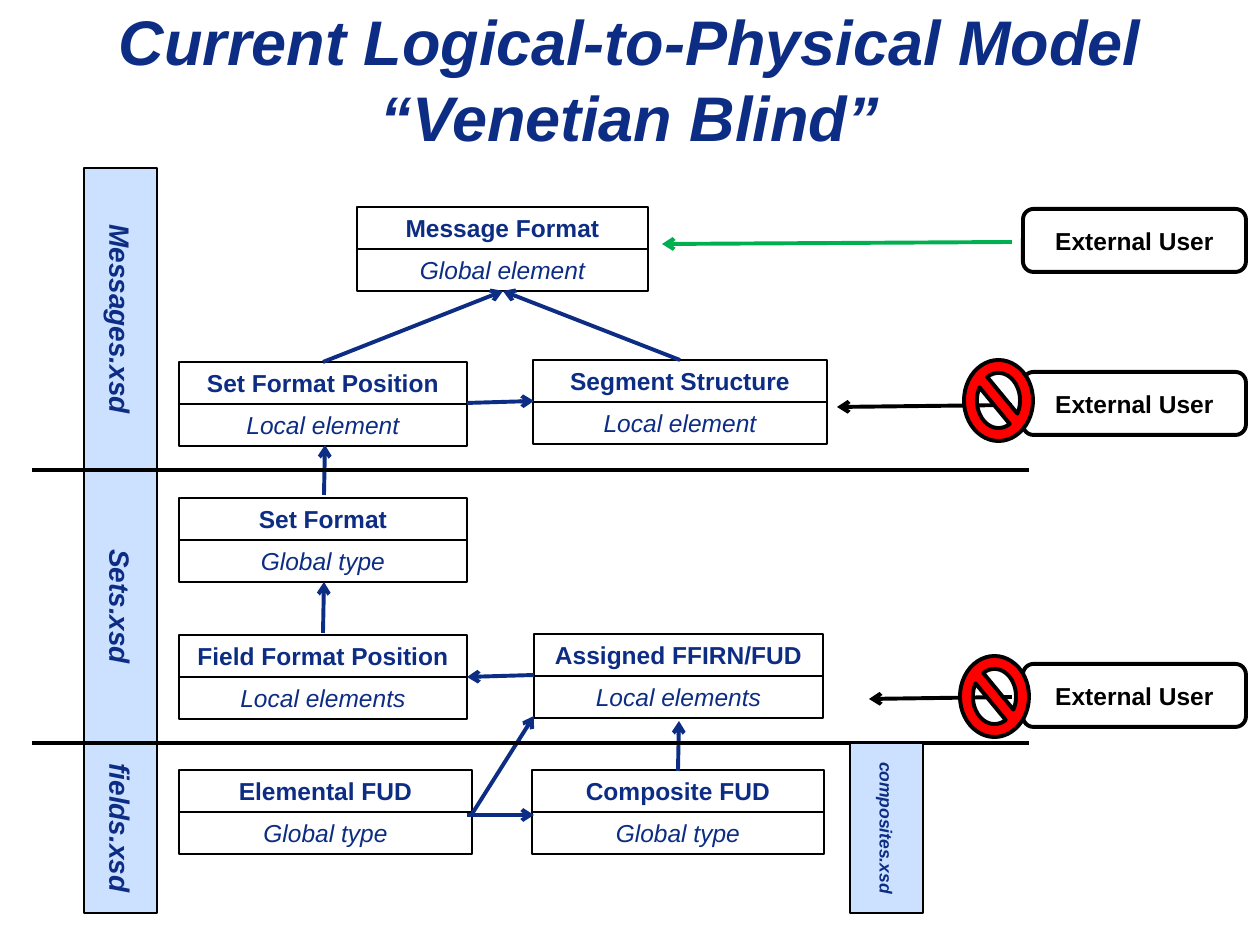
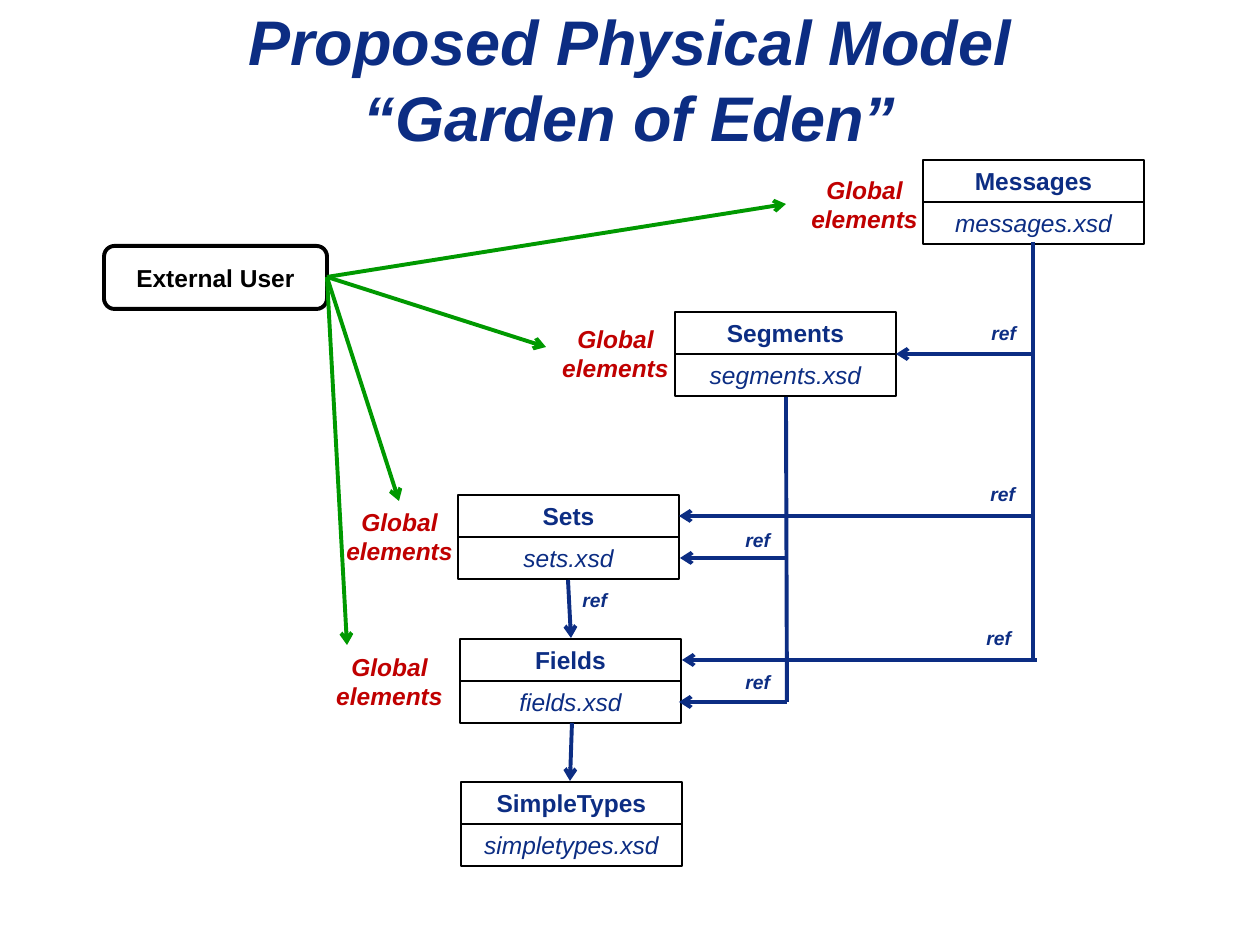
"""Builds two slides that compare a current and a proposed XML schema model."""
from lxml import etree
from pptx import Presentation
from pptx import util as u
from pptx.dml.color import RGBColor
from pptx.enum import shapes, text
from pptx.oxml import ns

SCALE = 914400 / 126
FONT = "Arial"
COLORS = {
    "navy": "0C2D83",
    "band": "CCE0FF",
    "black": "000000",
    "red": "FF0000",
    "dark_red": "C00000",
    "allowed": "00B050",
    "access": "009900",
}
ROW = 42


def px(length):
    return u.Emu(round(length * SCALE))


def rgb(name):
    return RGBColor.from_string(COLORS[name])


class Diagram:
    def __init__(self, deck):
        self.deck = deck
        self.slide = None

    def new_slide(self, title):
        self.slide = self.deck.slides.add_slide(self.deck.slide_layouts[6])
        self.label(63, 9, 1134, 139, title, 36, bold=True, italic=True)

    def set_words(self, shape, words, size, color="navy", bold=False, italic=False,
                  align=text.PP_ALIGN.CENTER):
        frame = shape.text_frame
        frame.word_wrap = True
        frame.vertical_anchor = text.MSO_ANCHOR.MIDDLE
        frame.text = words
        for paragraph in frame.paragraphs:
            paragraph.alignment = align
            font = paragraph.font
            font.name, font.size = FONT, u.Pt(size)
            font.bold, font.italic = bold, italic
            font.color.rgb = rgb(color)

    def label(self, left, top, width, height, words, size, **style):
        area = self.slide.shapes.add_textbox(px(left), px(top), px(width), px(height))
        self.set_words(area, words, size, **style)

    def shape(self, kind, left, top, width, height, fill=None, weight=1):
        shape = self.slide.shapes.add_shape(
            kind, px(left), px(top), px(width), px(height))
        shape.shadow.inherit = False
        if fill:
            shape.fill.solid()
            shape.fill.fore_color.rgb = rgb(fill)
        else:
            shape.fill.background()
        shape.line.color.rgb = rgb("black")
        shape.line.width = u.Pt(weight)
        return shape

    def band(self, left, top, height, words, size=16):
        width = 73
        shift = (height - width) / 2
        strip = self.shape(shapes.MSO_SHAPE.RECTANGLE, left - shift, top + shift,
                           height, width, "band")
        strip.rotation = 90
        self.set_words(strip, words, size, bold=True, italic=True)

    def component(self, left, top, width, name, detail):
        for row, words in enumerate((name, detail)):
            cell = self.shape(shapes.MSO_SHAPE.RECTANGLE, left, top + row * ROW,
                              width, ROW)
            self.set_words(cell, words, 14, bold=row == 0, italic=row == 1)

    def external_user(self, left, top):
        user = self.shape(shapes.MSO_SHAPE.ROUNDED_RECTANGLE, left, top, 223, 63,
                          weight=2.25)
        self.set_words(user, "External User", 14, color="black", bold=True)

    def prohibited(self, left, top):
        self.shape(shapes.MSO_SHAPE.NO_SYMBOL, left, top, 69, 81, "red", 2.25)

    def line(self, x1, y1, x2, y2, color="navy", arrow=True):
        link = self.slide.shapes.add_connector(
            shapes.MSO_CONNECTOR.STRAIGHT, px(x1), px(y1), px(x2), px(y2))
        link.line.color.rgb = rgb(color)
        link.line.width = u.Pt(2.25)
        properties = link.element.spPr
        if arrow:
            outline = properties.find(ns.qn("a:ln"))
            etree.SubElement(outline, ns.qn("a:tailEnd"), type="arrow")
        etree.SubElement(properties, ns.qn("a:effectLst"))

    def global_elements(self, left, top):
        self.label(left, top, 169, 72, "Global\nelements", 14,
                   color="dark_red", bold=True, italic=True)

    def ref(self, left, top):
        self.label(left, top, 54, 36, "ref", 11, bold=True, italic=True,
                   align=text.PP_ALIGN.LEFT)


def current_model(diagram):
    diagram.new_slide("Current Logical-to-Physical Model\v“Venetian Blind”")
    for top, bottom, schema in ((743, 913, "fields.xsd"), (470, 743, "Sets.xsd"),
                                (168, 470, "Messages.xsd")):
        diagram.band(84, top, bottom - top, schema)

    for component in (
        (179, 770, 293, "Elemental FUD", "Global type"),
        (532, 770, 292, "Composite FUD", "Global type"),
        (534, 634, 289, "Assigned FFIRN/FUD", "Local elements"),
        (179, 635, 288, "Field Format Position", "Local elements"),
        (179, 498, 288, "Set Format", "Global type"),
        (533, 360, 294, "Segment Structure", "Local element"),
        (179, 362, 288, "Set Format Position", "Local element"),
        (357, 207, 291, "Message Format", "Global element"),
    ):
        diagram.component(*component)

    for link in (
        (323, 633, 324, 582), (324, 495, 325, 445), (678, 771, 679, 721),
        (323, 362, 503, 291), (680, 360, 503, 291), (467, 403, 534, 401),
        (467, 815, 534, 815), (472, 814, 534, 716), (534, 675, 467, 677),
    ):
        diagram.line(*link)

    for boundary in (470, 743):
        diagram.line(32, boundary, 1029, boundary, "black", arrow=False)
    diagram.band(850, 743, 170, "composites.xsd", 10)

    diagram.external_user(1023, 209)
    diagram.line(1012, 242, 662, 244, "allowed")
    for top, target, sign in ((372, 837, (964, 360)), (664, 869, (960, 656))):
        diagram.external_user(1023, top)
        diagram.line(1012, top + 33, target, top + 35, "black")
        diagram.prohibited(*sign)


def proposed_model(diagram):
    diagram.new_slide("Proposed Physical Model\v“Garden of Eden”")
    diagram.external_user(104, 246)
    for target in ((786, 204), (546, 347), (399, 501), (347, 645)):
        diagram.line(327, 277, *target, "access")

    for left, top, name in ((675, 312, "Segments"), (461, 782, "SimpleTypes"),
                            (460, 639, "Fields"), (458, 495, "Sets"),
                            (923, 160, "Messages")):
        diagram.component(left, top, 221, name, name.lower() + ".xsd")

    diagram.line(786, 397, 787, 702, arrow=False)
    diagram.line(1033, 242, 1033, 660, arrow=False)
    for link in (
        (787, 558, 680, 558), (787, 702, 679, 702), (1033, 516, 679, 516),
        (1037, 660, 682, 660), (1033, 354, 896, 354), (572, 723, 570, 781),
        (568, 580, 571, 638),
    ):
        diagram.line(*link)

    for place in ((305, 645), (315, 500), (531, 317), (780, 168)):
        diagram.global_elements(*place)
    for place in ((979, 315), (978, 476), (974, 620), (733, 522), (733, 664),
                  (570, 582)):
        diagram.ref(*place)


deck = Presentation()
deck.slide_width, deck.slide_height = u.Inches(10), u.Inches(7.5)
diagram = Diagram(deck)
current_model(diagram)
proposed_model(diagram)
deck.save("out.pptx")
